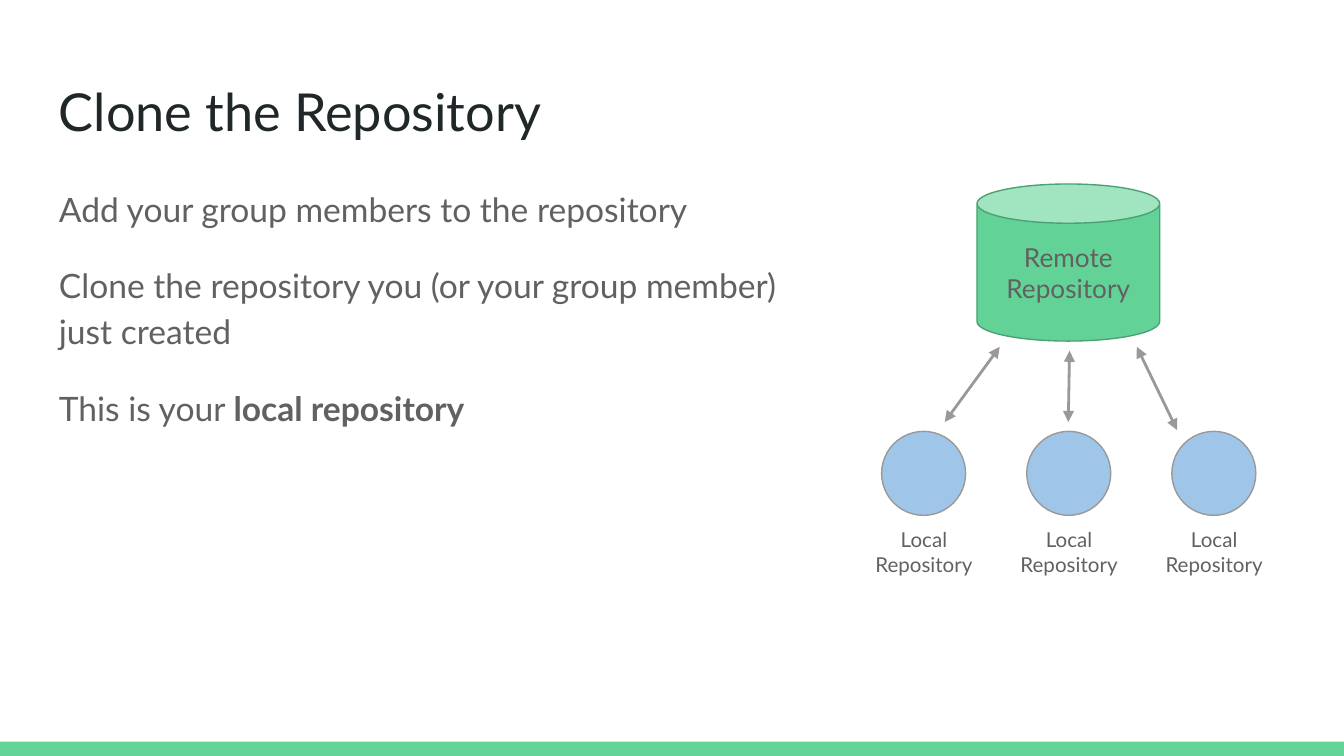
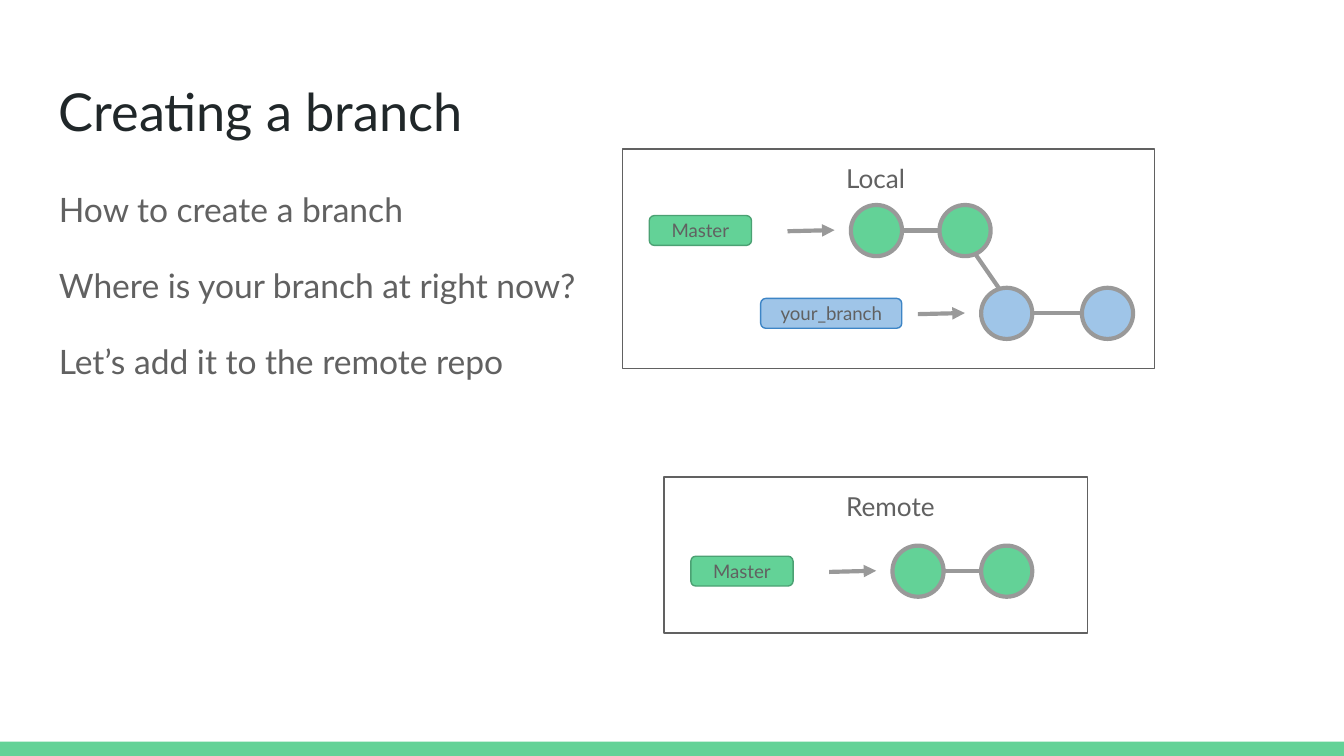
from lxml import etree
from pptx import Presentation
from pptx.dml.color import RGBColor
from pptx.enum.shapes import MSO_CONNECTOR, MSO_SHAPE
from pptx.enum.text import MSO_ANCHOR, PP_ALIGN
from pptx.oxml.ns import qn
from pptx.util import Pt

RECT, ROUND = MSO_SHAPE.RECTANGLE, MSO_SHAPE.ROUNDED_RECTANGLE
OVAL, CAN = MSO_SHAPE.OVAL, MSO_SHAPE.CAN
STRAIGHT = MSO_CONNECTOR.STRAIGHT
TOP, MIDDLE = MSO_ANCHOR.TOP, MSO_ANCHOR.MIDDLE
LEFT, CENTER = PP_ALIGN.LEFT, PP_ALIGN.CENTER

FONT = "Lato"
WIDE, HIGH = 720, 405
COLORS = {
    "title": "202729",
    "text": "616161",
    "green": "63D297",
    "moss": "4BA173",
    "blue": "9FC5E8",
    "navy": "3D85C6",
    "gray": "999999",
}
DOT = 27.4


def color(name):
    """Return the named colour."""
    return RGBColor.from_string(COLORS[name])


def write(shape, paras, size, tone="text", align=CENTER, anchor=MIDDLE, lead=None, gap=0):
    """Fill a shape with paragraphs, each a list of (words, bold) runs."""
    frame = shape.text_frame
    frame.word_wrap = True
    frame.vertical_anchor = anchor
    frame.margin_left = frame.margin_right = Pt(7.2)
    frame.margin_top = frame.margin_bottom = Pt(7.2)
    for i, runs in enumerate(paras):
        para = frame.add_paragraph() if i else frame.paragraphs[0]
        para.alignment = align
        para.line_spacing = lead
        para.space_before = Pt(gap if i else 0)
        para.font.name, para.font.size = FONT, Pt(size)
        para.font.color.rgb = color(tone)
        for words, bold in runs:
            run = para.add_run()
            run.text = words
            if bold:
                run.font.bold = True


def label(slide, box, words, size, **style):
    """Add a text box holding one plain paragraph."""
    write(slide.shapes.add_textbox(*map(Pt, box)), [[(words, False)]], size, **style)


def draw(slide, kind, box, fill=None, edge=None, width=0.75):
    """Add a preset shape with optional fill and outline."""
    shape = slide.shapes.add_shape(kind, *map(Pt, box))
    shape.shadow.inherit = False
    if fill:
        shape.fill.solid()
        shape.fill.fore_color.rgb = color(fill)
    else:
        shape.fill.background()
    if edge:
        shape.line.color.rgb = color(edge)
        shape.line.width = Pt(width)
    else:
        shape.line.fill.background()
    return shape


def link(slide, start, end, width=2.25, heads=()):
    """Add a straight gray line with arrowheads at the given ends."""
    line = slide.shapes.add_connector(STRAIGHT, *map(Pt, (*start, *end)))
    line.line.color.rgb = color("gray")
    line.line.width = Pt(width)
    props = line._element.spPr
    for head in heads:
        etree.SubElement(props.find(qn("a:ln")), qn(f"a:{head}"), type="triangle")
    etree.SubElement(props, qn("a:effectLst"))


def page(deck, title, paras, width, height):
    """Add a slide with its band, title and body text."""
    slide = deck.slides.add_slide(deck.slide_layouts[6])
    draw(slide, RECT, (0, 397.4, WIDE, 7.6), "green")
    label(slide, (24.5, 35.3, 335.5, 45.4), title, 28, tone="title", align=LEFT, anchor=TOP)
    body = slide.shapes.add_textbox(*map(Pt, (24.5, 90.7, width, height)))
    write(body, paras, 18, align=LEFT, anchor=TOP, lead=1.15, gap=16)
    return slide


def hub(slide, x, y):
    """Draw the remote store linked to three local ones."""
    store = draw(slide, CAN, (x + 65.5, y, 97.9, 84.2), "green", "moss")
    write(store, [[("Remote Repository", False)]], 14)
    for i in range(3):
        left = x + i * 77.75
        draw(slide, OVAL, (left + 14.4, y + 132.5, 45, 45), "blue", "gray")
        label(slide, (left, y + 182.2, 74.2, 29.5), "Local Repository", 11)
    ends = [(48.2, 127.5, 77.7, 87.2), (114.4, 127.5, 115.1, 89.3), (172.7, 131.8, 151.1, 87.2)]
    for a, b, c, d in ends:
        link(slide, (x + a, y + b), (x + c, y + d), 1.5, ("headEnd", "tailEnd"))


def track(slide, x, y, name, fill, edge, width, gap, pitch):
    """Draw a branch tag, its arrow and two commits, centred on y."""
    tag = draw(slide, ROUND, (x, y - 8, width, 16), fill, edge)
    write(tag, [[(name, False)]], 10)
    tip = x + width + gap
    link(slide, (tip, y + 0.4), (tip + 25.2, y - 0.2), heads=("tailEnd",))
    first = tip + 33.9
    link(slide, (first + DOT, y), (first + pitch, y))
    for left in (first, first + pitch):
        draw(slide, OVAL, (left, y - DOT / 2, DOT, DOT), fill, "gray", 2.25)


def panel(slide, box, name, inset, row):
    """Frame a repository with its name and master track."""
    x, y = box[:2]
    draw(slide, RECT, box, edge="text")
    label(slide, (x + inset, y, 100, 26.6), name, 14, anchor=TOP)
    track(slide, x + 14.4, y + row, "Master", "green", "moss", 54.8, 19.3, 47.5)


def fork(slide, x, y):
    """Draw the new branch inside the panel at x, y."""
    link(slide, (x + 188.6, y + 55.5), (x + 203, y + 76.3))
    track(slide, x + 74.1, y + 88, "your_branch", "blue", "navy", 75.6, 8.6, 54)


def main():
    """Build the deck."""
    deck = Presentation()
    deck.slide_width, deck.slide_height = Pt(WIDE), Pt(HIGH)

    clone = [
        [("Add your group members to the repository", False)],
        [("Clone the repository you (or your group member) just created", False)],
        [("This is your ", False), ("local repository", True)],
    ]
    hub(page(deck, "Clone the Repository", clone, 404.6, 162), 457.9, 98.6)

    branch = [
        [("How to create a branch", False)],
        [("Where is your branch at right now?", False)],
        [("Let’s add it to the remote repo", False)],
    ]
    slide = page(deck, "Creating a branch", branch, 294, 141)
    panel(slide, (333.4, 79.9, 285.1, 117.4), "Local", 85.7, 43.6)
    fork(slide, 333.4, 79.9)
    panel(slide, (355.7, 255.6, 226.8, 83.5), "Remote", 71.3, 50.4)
    deck.save("out.pptx")


if __name__ == "__main__":
    main()
